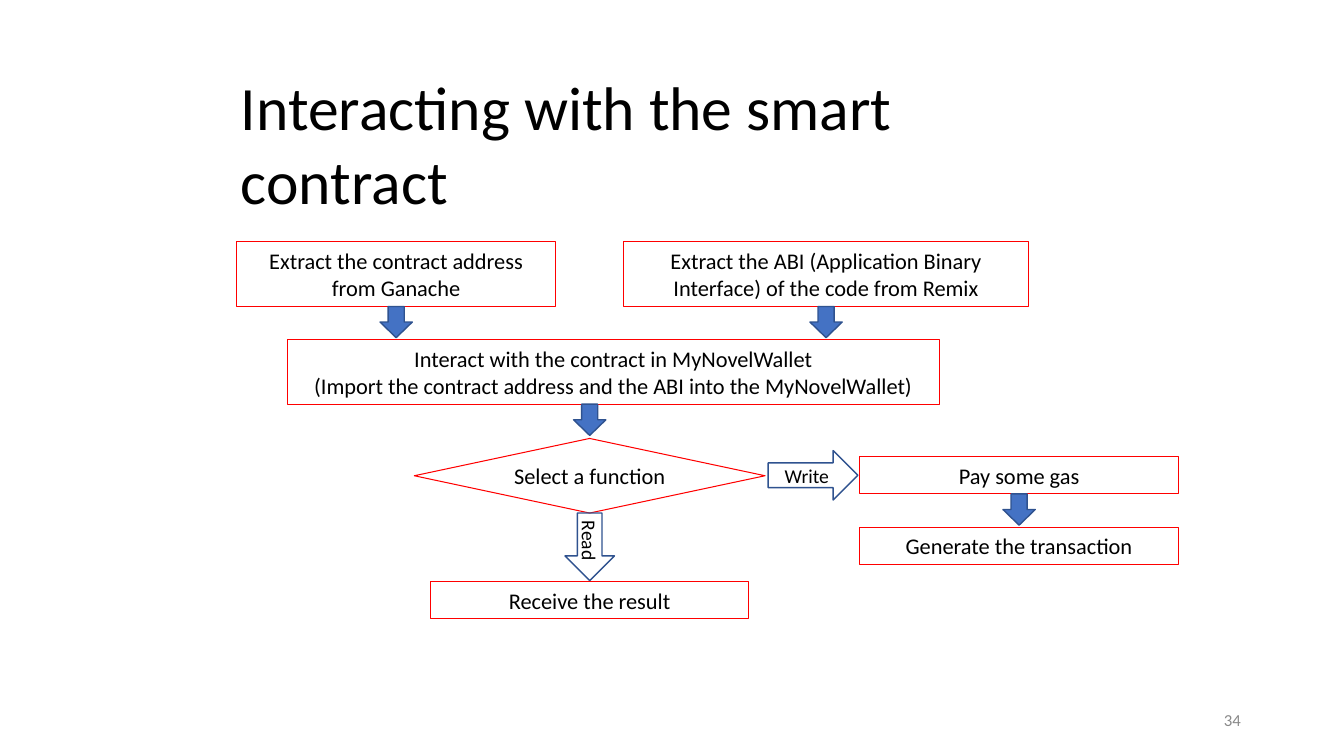
from dataclasses import dataclass

from pptx import Presentation
from pptx.dml.color import RGBColor
from pptx.enum.shapes import MSO_SHAPE
from pptx.enum.text import MSO_ANCHOR, PP_ALIGN
from pptx.util import Inches, Pt

RECTANGLE, DIAMOND = MSO_SHAPE.RECTANGLE, MSO_SHAPE.DIAMOND
DOWN, RIGHT = MSO_SHAPE.DOWN_ARROW, MSO_SHAPE.RIGHT_ARROW
TOP, MIDDLE = MSO_ANCHOR.TOP, MSO_ANCHOR.MIDDLE
LEFT, CENTER = PP_ALIGN.LEFT, PP_ALIGN.CENTER
CELL = 0.1


@dataclass(frozen=True)
class Theme:
    """Colours and type sizes of the slide."""
    font: str = "Calibri"
    ink: str = "000000"
    muted: str = "898989"
    step_line: str = "FF0000"
    arrow_fill: str = "4472C4"
    arrow_line: str = "2F528F"
    title_size: int = 44
    step_size: int = 16
    label_size: int = 14
    page_size: int = 12
    step_leading: int = 19


@dataclass(frozen=True)
class Box:
    """A rectangle measured in grid cells."""
    left: float
    top: float
    width: float
    height: float

    @property
    def center(self):
        """Return the horizontal centre."""
        return self.left + self.width / 2

    @property
    def bottom(self):
        """Return the lower edge."""
        return self.top + self.height

    def inner(self, left, top, width, height):
        """Return a box placed relative to this one."""
        return Box(self.left + left, self.top + top, width, height)

    def lengths(self):
        """Return the four measures as slide lengths."""
        return [Inches(cells * CELL) for cells in
                (self.left, self.top, self.width, self.height)]


THEME = Theme()
SLIDE = Box(0, 0, 133.33, 75)
STEP_WIDTH, ONE_LINE, TWO_LINES = 31.6, 3.7, 6.4
ARROW_SIZE, BRANCH_SIZE = 3.2, 4.9


def write(frame, lines, size, color=THEME.ink, align=CENTER, anchor=MIDDLE,
          pad=0, leading=None):
    """Fill a text frame with one paragraph per line."""
    frame.word_wrap = True
    frame.vertical_anchor = anchor
    frame.margin_left = frame.margin_right = Inches(pad * CELL)
    frame.margin_top = frame.margin_bottom = 0
    for index, line in enumerate(lines):
        paragraph = frame.add_paragraph() if index else frame.paragraphs[0]
        paragraph.alignment = align
        if leading:
            paragraph.line_spacing = Pt(leading)
        run = paragraph.add_run()
        run.text = line
        run.font.name = THEME.font
        run.font.size = Pt(size)
        run.font.color.rgb = RGBColor.from_string(color)


def add_outline(slide, kind, box, line, weight, fill=None):
    """Draw a preset shape, hollow unless a fill is given."""
    shape = slide.shapes.add_shape(kind, *box.lengths())
    shape.shadow.inherit = False
    shape.line.color.rgb = RGBColor.from_string(line)
    shape.line.width = Pt(weight)
    if fill:
        shape.fill.solid()
        shape.fill.fore_color.rgb = RGBColor.from_string(fill)
    else:
        shape.fill.background()
    return shape


def add_step(slide, box, *lines, kind=RECTANGLE):
    """Draw a red-edged step of the flow."""
    step = add_outline(slide, kind, box, THEME.step_line, 0.75)
    pad = 2 if kind == RECTANGLE else 0
    write(step.text_frame, lines, THEME.step_size, pad=pad,
          leading=THEME.step_leading)


def add_arrow_below(slide, box, center=None):
    """Draw a solid arrow under a step."""
    middle = box.center if center is None else center
    place = Box(middle - ARROW_SIZE / 2, box.bottom, ARROW_SIZE, 3.1)
    add_outline(slide, DOWN, place, THEME.arrow_line, 1, THEME.arrow_fill)


def add_branch(slide, kind, box, label):
    """Draw a hollow arrow that carries the branch label."""
    branch = add_outline(slide, kind, box, THEME.arrow_line, 1)
    write(branch.text_frame, [label], THEME.label_size)
    if kind == DOWN:
        branch.text_frame._txBody.bodyPr.set("vert", "vert")


def add_title(slide, box):
    """Place the slide title."""
    title = slide.shapes.title
    title.left, title.top, title.width, title.height = box.lengths()
    write(title.text_frame, ["Interacting with the smart contract"],
          THEME.title_size, align=LEFT, anchor=TOP, pad=0.1)


def add_inputs(slide, box):
    """Place the two inputs and the step that joins them."""
    address = box.inner(0, 0, STEP_WIDTH, TWO_LINES)
    abi = box.inner(38.4, 0, 40.1, TWO_LINES)
    wallet = box.inner(5, 9.7, 64.7, TWO_LINES)
    add_step(slide, address, "Extract the contract address from Ganache")
    add_step(slide, abi, "Extract the ABI (Application Binary Interface) "
                         "of the code from Remix")
    add_step(slide, wallet, "Interact with the contract in MyNovelWallet",
             "(Import the contract address and the ABI into the MyNovelWallet)")
    add_arrow_below(slide, address)
    add_arrow_below(slide, abi)
    add_arrow_below(slide, wallet, box.left + 35)


def add_read_branch(slide, box):
    """Place the choice of function and its read outcome."""
    choice = box.inner(0, 0, box.width, 7.4)
    add_step(slide, choice, "Select a function", kind=DIAMOND)
    add_branch(slide, DOWN, Box(box.center - BRANCH_SIZE / 2, choice.bottom,
                                BRANCH_SIZE, 6.7), "Read")
    add_step(slide, Box(box.center - STEP_WIDTH / 2, box.bottom - ONE_LINE,
                        STEP_WIDTH, ONE_LINE), "Receive the result")


def add_write_branch(slide, box):
    """Place the write outcome to the right of the choice."""
    add_branch(slide, RIGHT, box.inner(0, 0, 8.9, BRANCH_SIZE), "Write")
    gas = box.inner(9.1, 0.6, STEP_WIDTH, ONE_LINE)
    add_step(slide, gas, "Pay some gas")
    add_arrow_below(slide, gas)
    add_step(slide, gas.inner(0, 7, STEP_WIDTH, ONE_LINE),
             "Generate the transaction")


def add_page_number(slide, box):
    """Place the page number."""
    number = slide.shapes.add_textbox(*box.lengths())
    write(number.text_frame, ["34"], THEME.page_size, THEME.muted)


def main():
    """Build and save the slide."""
    deck = Presentation()
    _, _, deck.slide_width, deck.slide_height = SLIDE.lengths()
    slide = deck.slides.add_slide(deck.slide_layouts[5])
    add_title(slide, SLIDE.inner(23.8, 6.8, 85, 15))
    add_inputs(slide, SLIDE.inner(23.5, 24, 78.5, 16.1))
    add_read_branch(slide, SLIDE.inner(41.1, 43.5, 34.8, 17.9))
    add_write_branch(slide, SLIDE.inner(76.2, 44.7, 40.7, 11.3))
    add_page_number(slide, SLIDE.inner(121, 70.3, 2.5, 2.3))
    deck.save("out.pptx")


if __name__ == "__main__":
    main()
